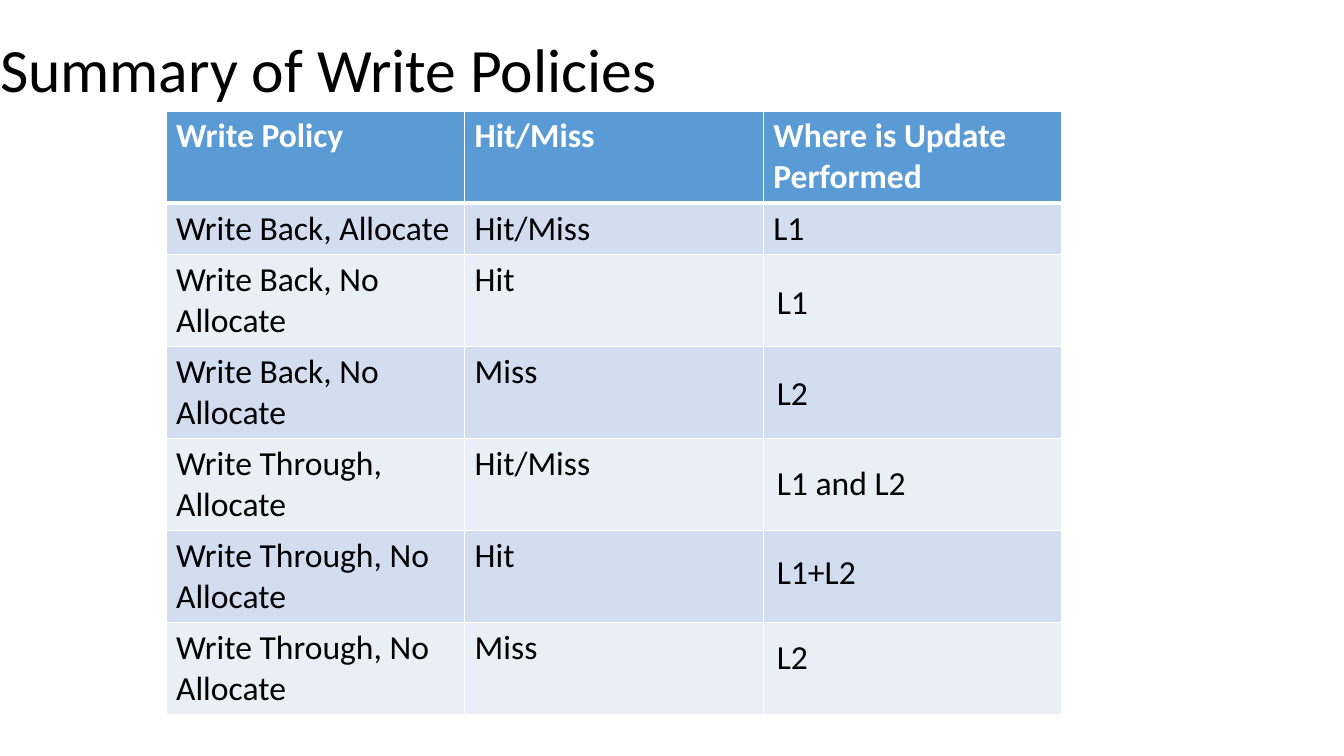
from dataclasses import dataclass

from lxml.etree import SubElement
from pptx import Presentation
from pptx.dml.color import RGBColor
from pptx.enum.text import MSO_ANCHOR as Anchor, MSO_AUTO_SIZE as AutoSize, PP_ALIGN as Align
from pptx.oxml.ns import qn
from pptx.util import Emu, Pt

SCALE = 914400 / 100.8


@dataclass(frozen=True)
class Theme:
    """Colours, font and type sizes of the slide."""
    font: str = "Calibri"
    title_size: int = 44
    body_size: int = 24
    ink: str = "000000"
    paper: str = "FFFFFF"
    header: str = "5B9BD5"
    bands: tuple = ("D2DEEF", "EAEFF7")


THEME = Theme()
HEADINGS = ("Write Policy", "Hit/Miss", "Where is Update Performed")
POLICIES = (
    ("Write Back, Allocate", "Hit/Miss", "L1"),
    ("Write Back, No Allocate", "Hit", ""),
    ("Write Back, No Allocate", "Miss", ""),
    ("Write Through, Allocate", "Hit/Miss", ""),
    ("Write Through, No Allocate", "Hit", ""),
    ("Write Through, No Allocate", "Miss", ""),
)
UPDATES = (("L1", 276, 51), ("L2", 367, 51), ("L1 and L2", 457, 150),
           ("L1+L2", 546, 100), ("L2", 631, 51))


def px(length):
    """Turn pixels into EMU."""
    return Emu(round(length * SCALE))


def write(frame, text, size=THEME.body_size, color=THEME.ink, bold=False, spacing=None):
    """Put formatted, left-aligned text into a text frame."""
    para = frame.paragraphs[0]
    para.alignment = Align.LEFT
    para.line_spacing = spacing
    span = para.add_run()
    span.text = text
    span.font.name = THEME.font
    span.font.size = Pt(size)
    span.font.bold = bold
    span.font.color.rgb = RGBColor.from_string(color)


def draw_title(page, box):
    """Place the title placeholder in its box."""
    title = page.shapes.title
    title.left, title.top, title.width, title.height = map(px, box)
    frame = title.text_frame
    frame.auto_size = AutoSize.NONE
    frame.word_wrap = True
    frame.vertical_anchor = Anchor.MIDDLE
    write(frame, "Summary of Write Policies", size=THEME.title_size, spacing=0.9)


def border_cell(cell, above, below):
    """Draw the white rules around a cell, with widths in points."""
    properties = cell._tc.get_or_add_tcPr()
    for side, width in (("L", 1), ("R", 1), ("T", above), ("B", below)):
        line = SubElement(properties, qn(f"a:ln{side}"), w=str(Pt(width)))
        fill = SubElement(line, qn("a:solidFill"))
        SubElement(fill, qn("a:srgbClr"), val=THEME.paper)


def draw_table(page, box, heights):
    """Draw the banded policy table with equal columns."""
    rows = (HEADINGS, *POLICIES)
    table = page.shapes.add_table(len(rows), len(HEADINGS), *map(px, box)).table
    for column in table.columns:
        column.width = px(box[2] / len(HEADINGS))
    for index, (row, height) in enumerate(zip(rows, heights)):
        table.rows[index].height = px(height)
        is_header = index == 0
        shade = THEME.header if is_header else THEME.bands[(index - 1) % 2]
        for cell, text in zip(table.rows[index].cells, row):
            border_cell(cell, above=3 if index == 1 else 1, below=3 if is_header else 1)
            cell.fill.solid()
            cell.fill.fore_color.rgb = RGBColor.from_string(shade)
            if text:
                write(cell.text_frame, text, bold=is_header,
                      color=THEME.paper if is_header else THEME.ink)


def draw_updates(page, left, height):
    """Place the update labels over the last table column."""
    for text, top, width in UPDATES:
        label = page.shapes.add_textbox(*map(px, (left, top, width, height)))
        label.text_frame.word_wrap = False
        label.text_frame.auto_size = AutoSize.SHAPE_TO_FIT_TEXT
        write(label.text_frame, text)


def main():
    """Build and save the slide."""
    deck = Presentation()
    deck.slide_width, deck.slide_height = px(1344), px(756)
    page = deck.slides.add_slide(deck.slide_layouts[5])
    draw_title(page, (-10, 0, 1159, 146))
    heights = (92, 51, *[92] * 5)
    draw_table(page, (166, 111, 896, sum(heights)), heights)
    draw_updates(page, left=767, height=50)
    deck.save("out.pptx")


main()
